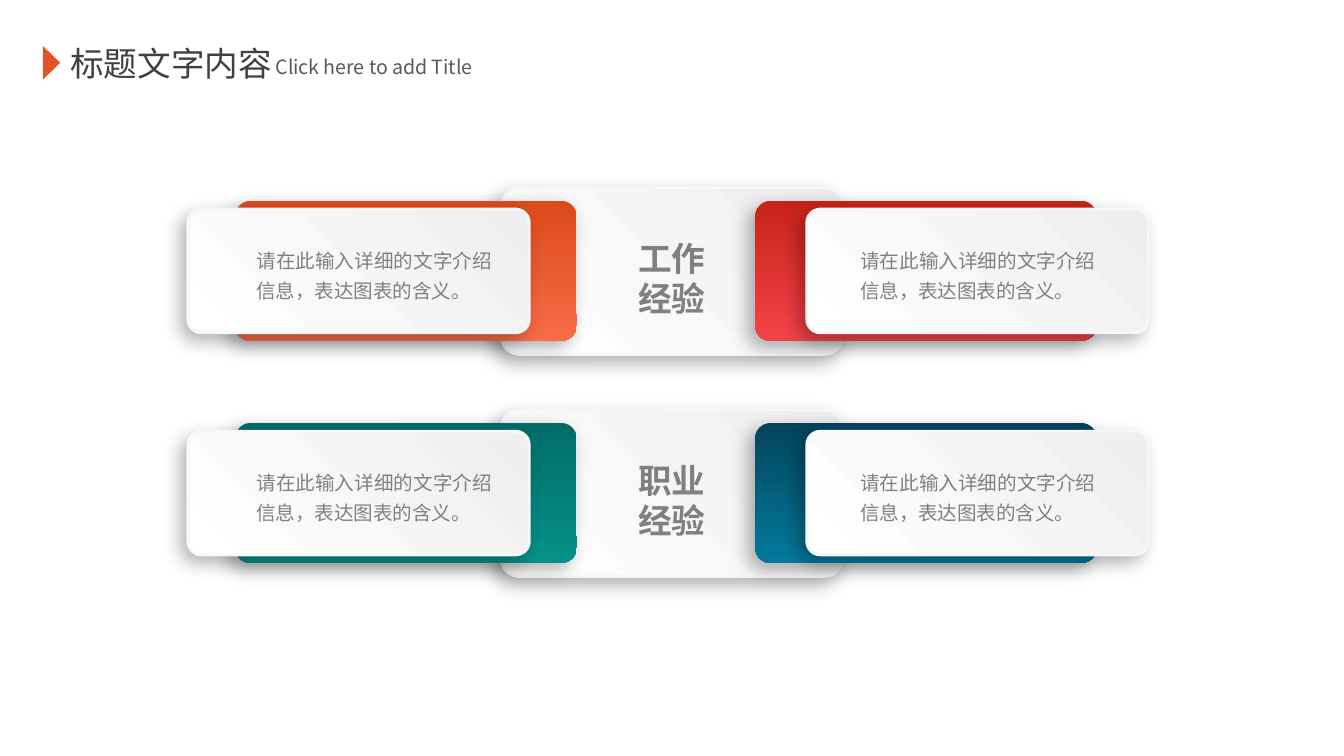
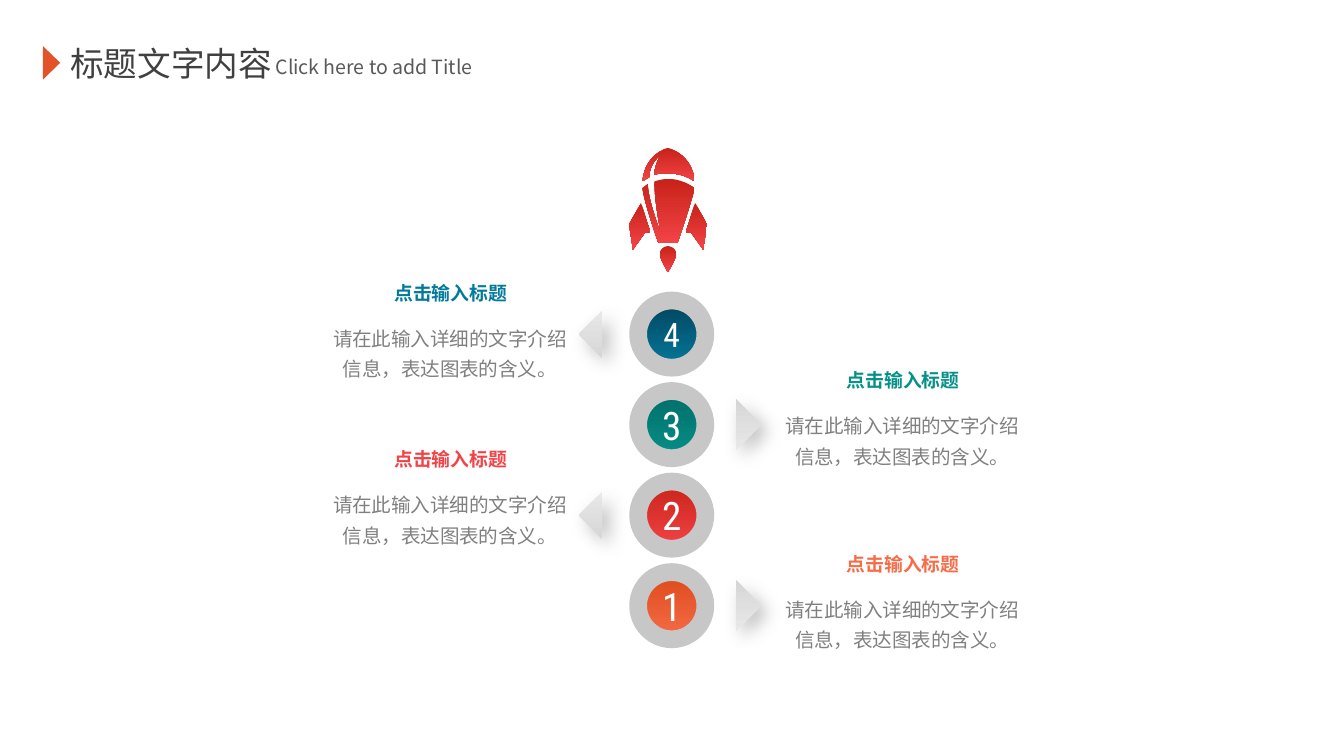
from lxml import etree
from pptx import Presentation
from pptx import util as u
from pptx.dml.color import RGBColor
from pptx.enum import shapes as s
from pptx.enum import text as t
from pptx.oxml.ns import qn

Pt = u.Pt

COLORS = {
    "accent": "E2532A", "title": "404040", "subtitle": "595959",
    "body": "808080", "white": "FFFFFF", "edge": "F7F7F7",
    "ring": "C7C7C7", "shadow": "000000",
}
# Gradients: first colour, last colour, clockwise angle
GRADIENTS = {
    "orange": ("DC4A1B", "F66C47", 90),
    "red": ("C72319", "F34347", 90),
    "teal": ("026C68", "059188", 90),
    "blue": ("03435C", "037A9B", 90),
    "card": ("EEEEEE", "FFFFFF", 135),
    "arrow": ("E8E8E8", "D6D6D6", 45),
}
CJK_FONT, DIGIT_FONT = "Noto Sans CJK SC", "Roboto Condensed"
BODY_TEXT = "请在此输入详细的文字介绍信息，表达图表的含义。"
ALIGN = t.PP_ALIGN
ANCHOR = t.MSO_ANCHOR
SHAPE = s.MSO_SHAPE


def write(frame, text, size=10.5, color=COLORS["body"], font=CJK_FONT, bold=False,
          align=ALIGN.LEFT, spacing=None):
    """Fill a text frame, one paragraph for each line of text."""
    for index, line in enumerate(text.split("\n")):
        para = frame.add_paragraph() if index else frame.paragraphs[0]
        para.alignment = align
        if spacing:
            para.line_spacing = spacing
        span = para.add_run()
        span.text = line
        span.font.size, span.font.bold = Pt(size), bold
        span.font.color.rgb = RGBColor.from_string(color)
        span.font.name = font
        etree.SubElement(span._r.get_or_add_rPr(), qn("a:ea"), typeface=font)


class Painter:
    def __init__(self, deck):
        self.deck = deck
        self.page = None

    def new_page(self):
        self.page = self.deck.slides.add_slide(self.deck.slide_layouts[6])
        self.text(30.6, 19.2, 129, 29, "标题文字内容", wrap=False,
                  size=18, color=COLORS["title"])
        self.shape(SHAPE.ISOSCELES_TRIANGLE, 18.6, 29, 18, 9.3,
                   color=COLORS["accent"], rotation=90)
        self.text(136, 26, 131.8, 20, "Click here to add Title", wrap=False,
                  insets=(11.7, 3.6, 7.2, 3.6), color=COLORS["subtitle"])

    def text(self, left, top, width, height, text, wrap=True, anchor=ANCHOR.TOP,
             insets=(7.2, 3.6, 7.2, 3.6), **style):
        box = self.page.shapes.add_textbox(Pt(left), Pt(top), Pt(width), Pt(height))
        frame = box.text_frame
        frame.word_wrap = wrap
        frame.vertical_anchor = anchor
        frame.auto_size = t.MSO_AUTO_SIZE.SHAPE_TO_FIT_TEXT
        (frame.margin_left, frame.margin_top,
         frame.margin_right, frame.margin_bottom) = map(Pt, insets)
        write(frame, text, **style)

    def paint(self, shape, gradient=None, color=None, line=None, shadow=None):
        """Set fill, line (colour, width) and shadow (alpha, direction)."""
        if gradient:
            first, last, angle = GRADIENTS[gradient]
            shape.fill.gradient()
            shape.fill.gradient_angle = 360 - angle
            for stop, value in zip(shape.fill.gradient_stops, (first, last)):
                stop.color.rgb = RGBColor.from_string(value)
        else:
            shape.fill.solid()
            shape.fill.fore_color.rgb = RGBColor.from_string(color)
        if line:
            shape.line.color.rgb = RGBColor.from_string(line[0])
            shape.line.width = Pt(line[1])
        else:
            shape.line.fill.background()
        shape.shadow.inherit = False
        if shadow:
            alpha, direction = shadow
            effects = shape._element.spPr.find(qn("a:effectLst"))
            outer = etree.SubElement(
                effects, qn("a:outerShdw"), blurRad=str(Pt(10)), dist=str(Pt(5)),
                dir=str(direction * 60000), algn="ctr", rotWithShape="0")
            tint = etree.SubElement(outer, qn("a:srgbClr"), val=COLORS["shadow"])
            etree.SubElement(tint, qn("a:alpha"), val=str(alpha * 1000))

    def shape(self, kind, left, top, width, height, rotation=0, **look):
        shape = self.page.shapes.add_shape(kind, Pt(left), Pt(top), Pt(width), Pt(height))
        shape.rotation = rotation
        self.paint(shape, **look)
        return shape

    def card(self, left, top, height, gradient="card"):
        line = (COLORS["edge"], 1.5) if gradient == "card" else None
        card = self.shape(SHAPE.ROUNDED_RECTANGLE, left, top, 183, height,
                          gradient=gradient, line=line, shadow=(30, 135))
        card.adjustments[0] = 0.11

    def outline(self, steps, gradient):
        """Draw line steps (x, y) and curve steps (three x, y pairs)."""
        points = [(Pt(x), Pt(y)) for step in steps
                  for x, y in zip(step[::2], step[1::2])]
        builder = self.page.shapes.build_freeform(*points[0])
        builder.add_line_segments(points[1:], close=True)
        shape = builder.convert_to_shape()
        # Join the three segments of each curve step into one Bézier
        segments = iter(list(shape._element.iter(qn("a:lnTo"))))
        for step in steps[1:]:
            group = [next(segments) for _ in step[::2]]
            if len(group) == 3:
                curve = etree.Element(qn("a:cubicBezTo"))
                group[0].addprevious(curve)
                for segment in group:
                    curve.append(segment[0])
                    segment.getparent().remove(segment)
        self.paint(shape, gradient=gradient)


# Experience rows: label, left colour, right colour
ROWS = [("工作\n经验", "orange", "red"), ("职业\n经验", "teal", "blue")]
ROW_TOP, ROW_PITCH = 100.6, 119

# Steps from the top down: digit, digit size, colour, heading top, on the left?
STEPS = [
    ("4", 18, "blue", 147.2, True),
    ("3", 21, "teal", 194, False),
    ("2", 21, "red", 236.4, True),
    ("1", 21, "orange", 292.5, False),
]
CIRCLE_LEFT, CIRCLE_TOP, CIRCLE_SIZE, CIRCLE_PITCH = 341.9, 161, 36, 48.5

# Rocket outlines
ROCKET_AXIS = 357.9
LEFT_FIN = [(337, 120.2), (339.1, 133.7), (345.6, 124.6), (348.5, 124.6),
            (346.3, 118.1, 344.9, 113, 343.4, 108.7)]
RIGHT_FIN = [tuple(v if i % 2 else 2 * ROCKET_AXIS - v for i, v in enumerate(step))
             for step in LEFT_FIN]
FLAME = [(357.8, 131.8), (355.7, 131.8, 353.5, 133.9, 353.5, 136.1),
         (353.5, 139, 357.8, 145.6, 357.8, 145.6),
         (357.8, 145.6, 362.2, 139, 362.2, 136.1),
         (362.2, 133.9, 360, 131.8, 357.8, 131.8)]
HULL = [(357.8, 95.8), (355.7, 95.8, 352.8, 96.5, 350.6, 97.2),
        (350.6, 106.6, 352.8, 118.1, 354.2, 126),
        (352.8, 121, 347.8, 109.4, 347, 98.6),
        (346.3, 99.4, 344.9, 100.1, 344.2, 100.8),
        (344.9, 106.6, 349.2, 120.2, 352.8, 130.3), (362.9, 130.3),
        (366.5, 120.2, 370.8, 106.6, 372.2, 100.8),
        (367.9, 97.9, 363.6, 95.8, 357.8, 95.8)]
NOSE = [(353.5, 83.5), (352.1, 86.4, 350.6, 90, 350.6, 93.6),
        (352.8, 92.9, 355.7, 92.9, 357.8, 92.9),
        (363.6, 92.9, 367.9, 94.3, 372.2, 97.2),
        (370.8, 82.1, 357.8, 79.2, 357.8, 79.2),
        (357.8, 79.2, 345.6, 82.1, 344.2, 97.2),
        (344.9, 96.5, 346.3, 95.8, 347.8, 95),
        (347.8, 90.7, 349.9, 86.4, 353.5, 83.5)]


def experience_page(painter):
    painter.new_page()
    for index, (label, left_color, right_color) in enumerate(ROWS):
        top = ROW_TOP + index * ROW_PITCH
        # Centre card and label
        painter.card(268.5, top, 89.3)
        painter.text(296.3, top + 24.4, 127.4, 47.5, label, insets=(4.3, 2.2, 4.3, 2.2),
                     size=18, bold=True, align=ALIGN.CENTER)
        # Side cards: coloured back, pale front, text
        for gradient, back, front, text_left in (
                (right_color, 404.6, 432.2, 453.7), (left_color, 126, 100.6, 130.3)):
            painter.card(back, top + 7, 75, gradient)
            painter.card(front, top + 11.4, 66.3)
            painter.text(text_left, top + 25.3, 140.4, 40.3, BODY_TEXT,
                         align=ALIGN.JUSTIFY, spacing=1.3)


def rocket_page(painter):
    painter.new_page()
    # Arrows beside the circles
    for index, (*_, on_left) in enumerate(STEPS):
        middle = CIRCLE_TOP + index * CIRCLE_PITCH + CIRCLE_SIZE / 2
        center, side, turn = (322.7, 18, 45) if on_left else (394.2, 19.4, 225)
        painter.shape(SHAPE.RIGHT_TRIANGLE, center - side / 2, middle - side / 2,
                      side, side, rotation=turn, gradient="arrow", shadow=(25, 45))
    # Numbered circles
    for index, (digit, size, gradient, *_) in enumerate(STEPS):
        circle = painter.shape(SHAPE.OVAL, CIRCLE_LEFT, CIRCLE_TOP + index * CIRCLE_PITCH,
                               CIRCLE_SIZE, CIRCLE_SIZE, gradient=gradient,
                               line=(COLORS["ring"], 9.5))
        circle.text_frame.vertical_anchor = ANCHOR.MIDDLE
        write(circle.text_frame, digit, size=size, color=COLORS["white"],
              font=DIGIT_FONT, align=ALIGN.CENTER)
    # Rocket
    for steps in (LEFT_FIN, RIGHT_FIN, FLAME, HULL, NOSE):
        painter.outline(steps, "red")
    # Headings and body texts
    for _, _, gradient, text_top, on_left in reversed(STEPS):
        text_left = 168.7 if on_left else 411
        painter.text(text_left + 35, text_top, 75.6, 19.4, "点击输入标题", wrap=False,
                     size=10.1, bold=True, color=GRADIENTS[gradient][1],
                     align=ALIGN.CENTER)
        painter.text(text_left, text_top + 20.2, 144.7, 40.3, BODY_TEXT,
                     anchor=ANCHOR.MIDDLE, align=ALIGN.CENTER, spacing=1.3)


def main():
    deck = Presentation()
    deck.slide_width, deck.slide_height = Pt(720), Pt(405)
    painter = Painter(deck)
    experience_page(painter)
    rocket_page(painter)
    deck.save("out.pptx")


if __name__ == "__main__":
    main()
